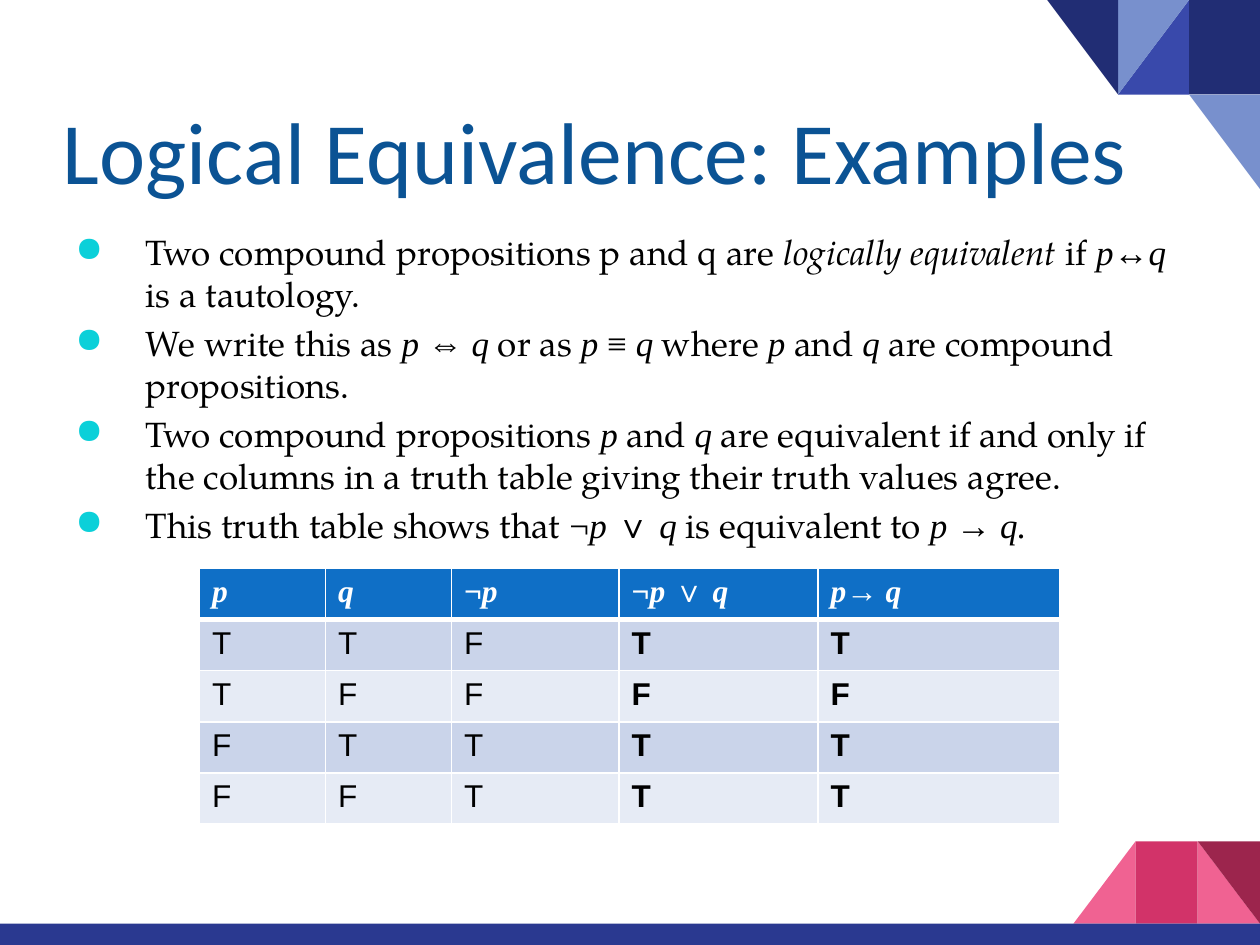
import pptx
import pptx.dml.color
import pptx.enum.shapes
import pptx.enum.text
import pptx.oxml
import pptx.oxml.ns
import pptx.util
from pptx.util import Cm

BODY, MATH = "TeX Gyre Pagella", "Times New Roman"
NAMESPACE = pptx.oxml.ns.nsdecls("a")

# Text styles of the bullets
PLAIN = dict(font=BODY)
EMPHASIS = dict(font=BODY, italic=True)
VARIABLE = dict(font=MATH, italic=True)
SYMBOL = dict(font=MATH)

BULLETS = [
    [("Two compound propositions p and q are ", PLAIN), ("logically equivalent", EMPHASIS),
     (" if ", PLAIN), ("p↔q", VARIABLE), (" is a tautology.", PLAIN)],
    [("We write this as ", PLAIN), ("p ", VARIABLE), ("⇔", SYMBOL), (" q", VARIABLE),
     (" or as ", PLAIN), ("p ", VARIABLE), ("≡ ", SYMBOL), ("q", VARIABLE),
     (" where ", PLAIN), ("p", VARIABLE), (" and ", PLAIN), ("q", VARIABLE),
     (" are compound propositions.", PLAIN)],
    [("Two compound propositions ", PLAIN), ("p", VARIABLE), (" and ", PLAIN), ("q", VARIABLE),
     (" are equivalent if and only if the columns in a truth table "
      "giving their truth values agree.", PLAIN)],
    [("This truth table shows that ", PLAIN), ("¬", SYMBOL), ("p ", VARIABLE), ("∨ ", SYMBOL),
     ("q ", VARIABLE), ("is equivalent to ", PLAIN), ("p → q.", VARIABLE)],
]

TABLE_HEADER = [
    [("p", VARIABLE)],
    [("q", VARIABLE)],
    [("¬", SYMBOL), ("p", VARIABLE)],
    [("¬", SYMBOL), ("p ", VARIABLE), ("∨ ", SYMBOL), ("q", VARIABLE)],
    [("p→ q", VARIABLE)],
]
TRUTH_VALUES = ["TTFTT", "TFFFF", "FTTTT", "FFTTT"]
COLUMN_WIDTHS = [2.54, 2.54, 3.38, 4.01, 4.88]

# Rotation and horizontal flip that put the right angle in a corner
CORNERS = {
    "bottom left": (0, False),
    "bottom right": (0, True),
    "top right": (180, False),
    "top left": (180, True),
}


def color(hex_string):
    return pptx.dml.color.RGBColor.from_string(hex_string)


def add_text(paragraph, text, font=BODY, size=20, fill="000000", bold=False, italic=False):
    run = paragraph.add_run()
    run.text = text
    run.font.name = font
    run.font.size = pptx.util.Pt(size)
    run.font.color.rgb = color(fill)
    run.font.bold = bold
    run.font.italic = italic


def add_block(slide, left, top, width, height, fill, corner=None):
    """Add a rectangle, or a right triangle when a corner is named."""
    kinds = pptx.enum.shapes.MSO_SHAPE
    kind = kinds.RIGHT_TRIANGLE if corner else kinds.RECTANGLE
    shape = slide.shapes.add_shape(kind, Cm(left), Cm(top), Cm(width), Cm(height))
    shape.shadow.inherit = False
    shape.fill.solid()
    shape.fill.fore_color.rgb = color(fill)
    shape.line.fill.background()
    if corner:
        shape.rotation, flipped = CORNERS[corner]
        if flipped:
            shape._element.spPr.find(pptx.oxml.ns.qn("a:xfrm")).set("flipH", "1")


def add_text_frame(slide, left, top, width, height, side_inset):
    box = slide.shapes.add_textbox(Cm(left), Cm(top), Cm(width), Cm(height))
    frame = box.text_frame
    frame.word_wrap = True
    frame.margin_left = frame.margin_right = Cm(side_inset)
    return frame


def add_top_ornament(slide, left, top, width, height):
    # Three columns, two rows
    column, row = width / 3, height / 2
    for x, y, fill, corner in [
        (2, 0, "212D74", None),
        (1, 0, "3949AB", "bottom right"),
        (1, 0, "7890CD", "top left"),
        (0, 0, "212D74", "top right"),
        (2, 1, "7890CD", "top right"),
    ]:
        add_block(slide, left + x * column, top + y * row, column, row, fill, corner)


def add_bottom_ornament(slide, left, top, width, height):
    # Three columns above a bar across the slide
    bar_height, ornament_width = 0.43, 3.76
    column = ornament_width / 3
    start = left + width - ornament_width
    for x, fill, corner in [
        (2, "F06292", "bottom left"),
        (0, "F06292", "bottom right"),
        (1, "D23369", None),
        (2, "9C254D", "top right"),
    ]:
        add_block(slide, start + x * column, top, column, height - bar_height, fill, corner)
    add_block(slide, left, top + height - bar_height, width, bar_height, "2A3990")


def add_title(slide, left, top, width, height):
    frame = add_text_frame(slide, left, top, width, height, 0)
    frame.margin_bottom = 0
    frame.vertical_anchor = pptx.enum.text.MSO_ANCHOR.BOTTOM
    add_text(frame.paragraphs[0], "Logical Equivalence: Examples",
             font="Calibri", size=50, fill="0B5394")


def add_bullets(slide, left, top, width, height):
    frame = add_text_frame(slide, left, top, width, height, 0.25)
    indent = Cm(1.42)
    for index, parts in enumerate(BULLETS):
        paragraph = frame.add_paragraph() if index else frame.paragraphs[0]
        paragraph.space_before = pptx.util.Pt(4 if index else 0)
        properties = paragraph._p.get_or_add_pPr()
        properties.set("marL", str(indent))
        properties.set("indent", str(-indent))
        for xml in (f'<a:buClr {NAMESPACE}><a:srgbClr val="0BD0D9"/></a:buClr>',
                    f'<a:buChar {NAMESPACE} char="●"/>'):
            properties.append(pptx.oxml.parse_xml(xml))
        for text, style in parts:
            add_text(paragraph, text, **style)


def format_cell(cell, fill, parts, top_border, bottom_border):
    properties = cell._tc.get_or_add_tcPr()
    for side, points in (("L", 1), ("R", 1), ("T", top_border), ("B", bottom_border)):
        properties.append(pptx.oxml.parse_xml(
            f'<a:ln{side} {NAMESPACE} w="{pptx.util.Pt(points)}"><a:solidFill>'
            f'<a:srgbClr val="FFFFFF"/></a:solidFill></a:ln{side}>'))
    cell.fill.solid()
    cell.fill.fore_color.rgb = color(fill)
    for text, style in parts:
        add_text(cell.text_frame.paragraphs[0], text, size=18, **style)


def add_truth_table(slide, left, top, width, height):
    row_count = len(TRUTH_VALUES) + 1
    table = slide.shapes.add_table(row_count, len(COLUMN_WIDTHS), Cm(left), Cm(top),
                                   Cm(width), Cm(height)).table
    for column, column_width in zip(table.columns, COLUMN_WIDTHS):
        column.width = Cm(column_width)
    for row in table.rows:
        row.height = Cm(height / row_count)

    # Header row with a heavy rule below
    for index, parts in enumerate(TABLE_HEADER):
        header = [(text, dict(style, bold=True, fill="FFFFFF")) for text, style in parts]
        format_cell(table.cell(0, index), "0F6FC6", header, 1, 3)

    # Banded truth values, the two compared columns in bold
    for row_index, values in enumerate(TRUTH_VALUES, start=1):
        fill = "CAD4EA" if row_index % 2 else "E6EBF5"
        for index, value in enumerate(values):
            style = dict(font="Arial", bold=index >= 3)
            format_cell(table.cell(row_index, index), fill, [(value, style)],
                        3 if row_index == 1 else 1, 1)


def main():
    presentation = pptx.Presentation()
    presentation.slide_width, presentation.slide_height = Cm(25.4), Cm(19.05)
    slide = presentation.slides.add_slide(presentation.slide_layouts[6])
    add_top_ornament(slide, 21.11, 0, 4.29, 3.81)
    add_bottom_ornament(slide, 0, 16.96, 25.4, 2.09)
    add_title(slide, 1.27, 0.89, 22.86, 3.18)
    add_bullets(slide, 1.27, 4.52, 22.86, 12.19)
    add_truth_table(slide, 4.02, 11.46, sum(COLUMN_WIDTHS), 5.15)
    presentation.save("out.pptx")


if __name__ == "__main__":
    main()
